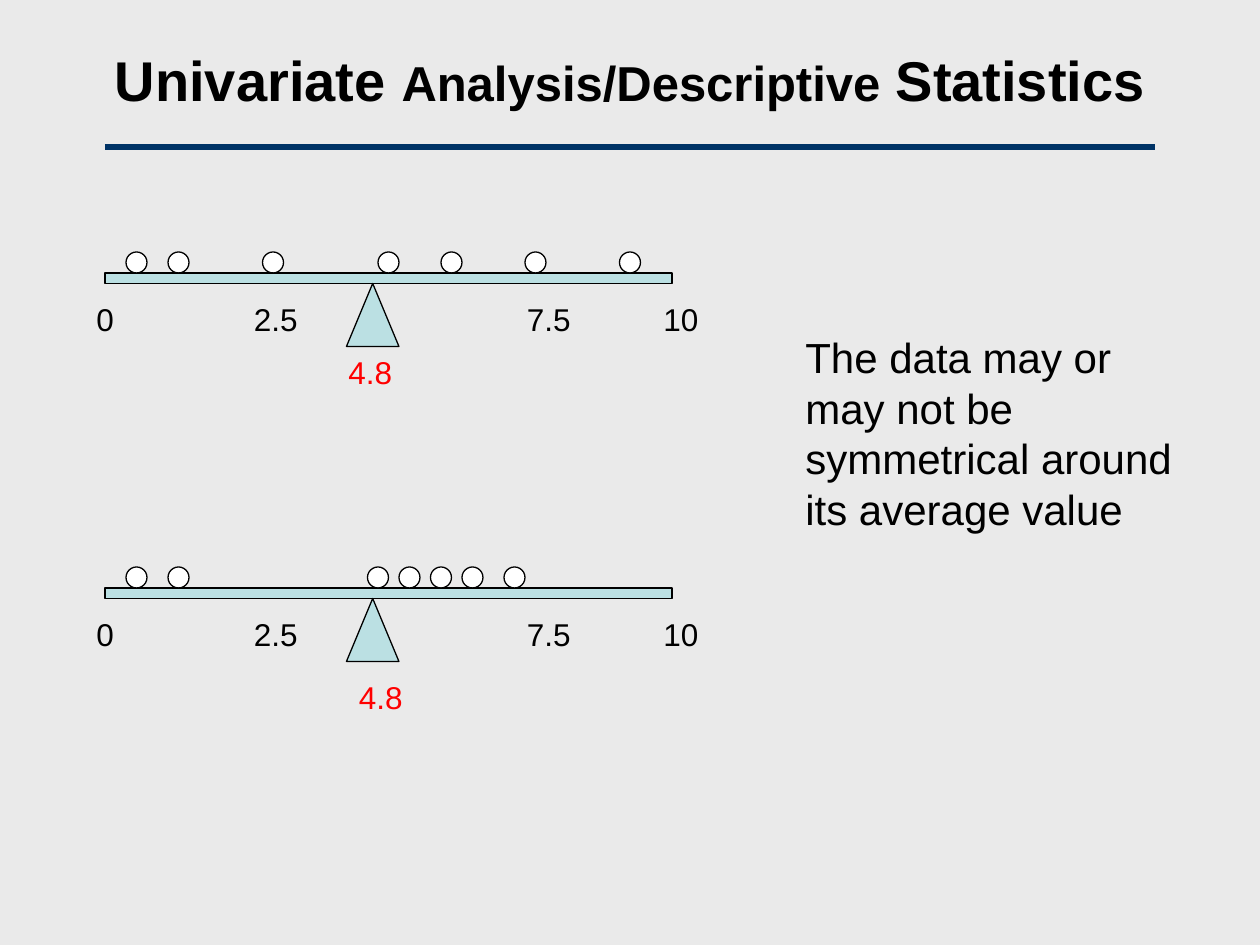
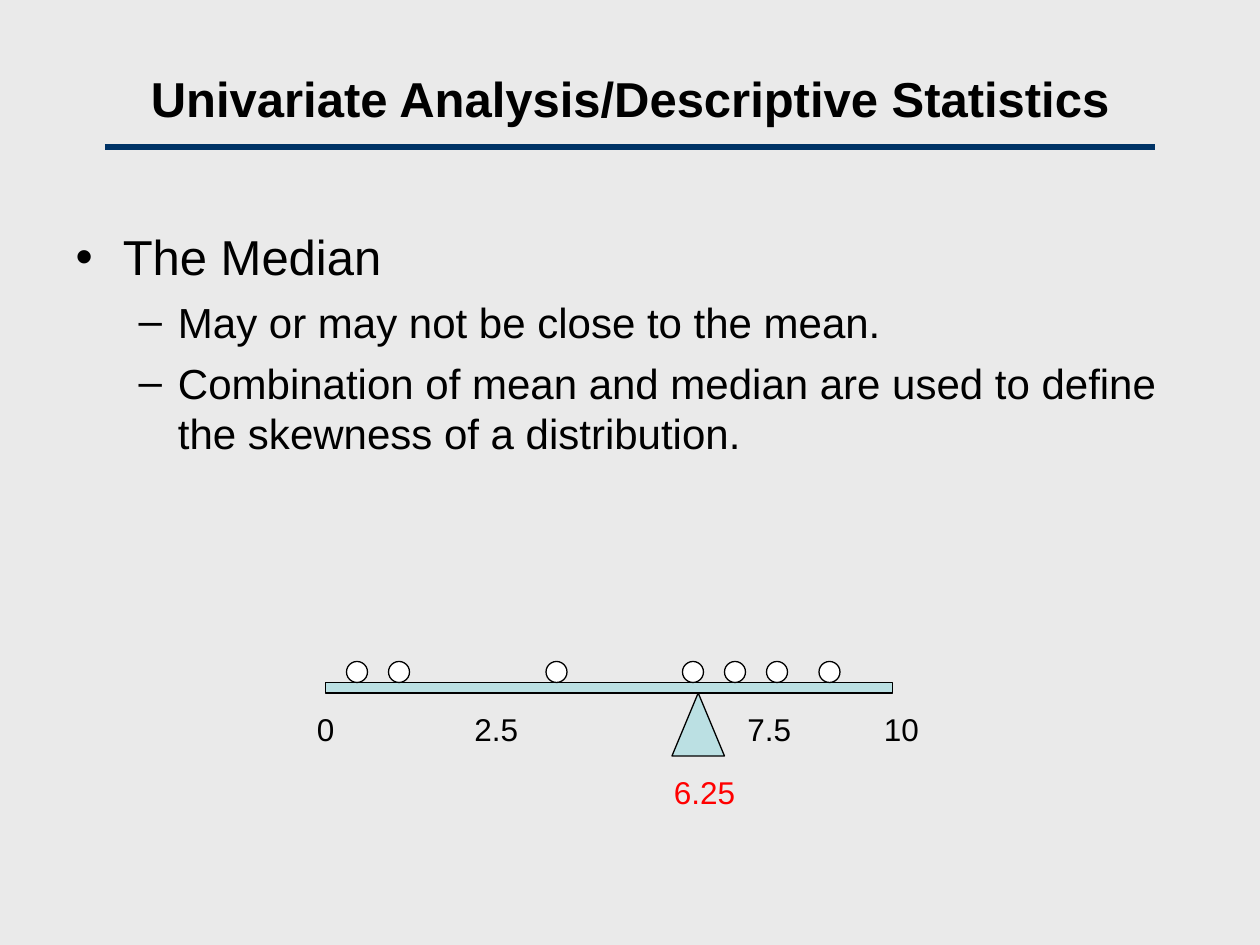
from lxml import etree
from pptx import Presentation
from pptx.dml.color import RGBColor
from pptx.enum.shapes import MSO_CONNECTOR, MSO_SHAPE
from pptx.enum.text import MSO_ANCHOR, MSO_AUTO_SIZE, PP_ALIGN
from pptx.oxml.ns import qn
from pptx.util import Pt

RECTANGLE, TRIANGLE, OVAL = MSO_SHAPE.RECTANGLE, MSO_SHAPE.ISOSCELES_TRIANGLE, MSO_SHAPE.OVAL
STRAIGHT = MSO_CONNECTOR.STRAIGHT
MIDDLE, CENTER, LEFT = MSO_ANCHOR.MIDDLE, PP_ALIGN.CENTER, PP_ALIGN.LEFT
NO_AUTOFIT = MSO_AUTO_SIZE.NONE

FONT = "Arial"
BACKGROUND, RULE, BEAM, BALL = "EAEAEA", "003366", "BBE0E3", "FFFFFF"
BLACK, RED = "000000", "FF0000"

# Content: boxes are (left, top, width, height); balance offsets start at the beam's left end
SLIDES = [
    {
        "title": [("Univariate ", 32), ("Analysis/Descriptive", 28), (" Statistics", 32)],
        "title_box": (36, 0, 648, 90),
        "body": [("plain", "The data may or may not be symmetrical around its average value")],
        "body_box": (426, 186, 258, 156),
        "balances": [
            {"beam": (60, 156), "balls": [12, 36, 90, 156, 192, 240, 294],
             "pivot": 138, "average": ("4.8", 132, 42)},
            {"beam": (60, 336), "balls": [12, 36, 150, 168, 186, 204, 228],
             "pivot": 138, "average": ("4.8", 138, 48)},
        ],
    },
    {
        "title": [("Univariate Analysis/Descriptive Statistics", 28)],
        "title_box": (36, 21.6, 648, 68.4),
        "body": [
            ("bullet", "The Median"),
            ("dash", "May or may not be close to the mean."),
            ("dash", "Combination of mean and median are used to define "
                     "the skewness of a distribution."),
        ],
        "body_box": (36, 126, 660, 210),
        "balances": [
            {"beam": (186, 390), "balls": [12, 36, 126, 204, 228, 252, 282],
             "pivot": 198, "average": ("6.25", 192, 48)},
        ],
    },
]
SCALE_LABELS = [("0", -12), ("2.5", 78), ("7.5", 234), ("10", 312)]

# Body styles: level, left margin, first-line indent, space before, size
BODY_STYLES = {
    "plain": (0, 27, 0, 6, 24),
    "bullet": (0, 27, -27, 7, 28),
    "dash": (1, 58.5, -22.5, 6, 24),
}

BEAM_WIDTH, BEAM_HEIGHT = 324, 6
BALL_SIZE = 12
PIVOT_WIDTH, PIVOT_HEIGHT = 30, 36
LABEL_DROP, LABEL_HEIGHT = 12, 28.8


def color(value):
    return RGBColor.from_string(value)


def points(box):
    return [Pt(length) for length in box]


def set_font(font, size, text_color=BLACK, bold=False):
    font.name, font.size, font.bold = FONT, Pt(size), bold
    font.color.rgb = color(text_color)


def place(shape, box):
    shape.left, shape.top, shape.width, shape.height = points(box)


def add_title(slide, runs, box):
    title = slide.shapes.title
    place(title, box)
    title.text_frame.auto_size = NO_AUTOFIT
    title.text_frame.vertical_anchor = MIDDLE
    paragraph = title.text_frame.paragraphs[0]
    paragraph.alignment = CENTER
    for text, size in runs:
        run = paragraph.add_run()
        run.text = text
        set_font(run.font, size, bold=True)


def add_rule(slide):
    rule = slide.shapes.add_connector(STRAIGHT, *points((60, 84, 660, 84)))
    rule.line.color.rgb = color(RULE)
    rule.line.width = Pt(3)
    etree.SubElement(rule._element.spPr, qn("a:effectLst"))


def add_body(slide, items, box):
    body = slide.placeholders[1]
    place(body, box)
    frame = body.text_frame
    frame.auto_size = NO_AUTOFIT
    for index, (style, text) in enumerate(items):
        level, margin, indent, space, size = BODY_STYLES[style]
        paragraph = frame.add_paragraph() if index else frame.paragraphs[0]
        paragraph.text = text
        paragraph.level = level
        paragraph.space_before = Pt(space)
        properties = paragraph._p.get_or_add_pPr()
        properties.set("marL", str(Pt(margin)))
        properties.set("indent", str(Pt(indent)))
        if style == "plain":
            etree.SubElement(properties, qn("a:buNone"))
        set_font(paragraph.font, size)


def add_part(group, kind, box, fill):
    part = group.shapes.add_shape(kind, *points(box))
    part.shadow.inherit = False
    part.fill.solid()
    part.fill.fore_color.rgb = color(fill)
    part.line.color.rgb = color(BLACK)
    part.line.width = Pt(0.75)


def add_label(group, text, left, top, text_color=BLACK):
    # Digits are 10 points wide, the decimal point 5, the two insets 14.4
    width = 14.4 + sum(5 if character == "." else 10 for character in text)
    label = group.shapes.add_textbox(*points((left, top, width, LABEL_HEIGHT)))
    label.text_frame.word_wrap = False
    paragraph = label.text_frame.paragraphs[0]
    paragraph.text = text
    paragraph.alignment = LEFT
    set_font(paragraph.font, 18, text_color)


def add_balance(slide, balance):
    left, top = balance["beam"]
    group = slide.shapes.add_group_shape()
    add_part(group, RECTANGLE, (left, top, BEAM_WIDTH, BEAM_HEIGHT), BEAM)
    add_part(group, TRIANGLE, (left + balance["pivot"], top + BEAM_HEIGHT,
                               PIVOT_WIDTH, PIVOT_HEIGHT), BEAM)
    for offset in balance["balls"]:
        add_part(group, OVAL, (left + offset, top - BALL_SIZE, BALL_SIZE, BALL_SIZE), BALL)
    for text, offset in SCALE_LABELS:
        add_label(group, text, left + offset, top + LABEL_DROP)
    text, offset, drop = balance["average"]
    add_label(group, text, left + offset, top + drop, RED)


def main():
    presentation = Presentation()
    presentation.slide_width, presentation.slide_height = Pt(720), Pt(540)
    background = presentation.slide_master.background.fill
    background.solid()
    background.fore_color.rgb = color(BACKGROUND)

    for content in SLIDES:
        slide = presentation.slides.add_slide(presentation.slide_layouts[1])
        add_title(slide, content["title"], content["title_box"])
        add_rule(slide)
        add_body(slide, content["body"], content["body_box"])
        for balance in content["balances"]:
            add_balance(slide, balance)

    presentation.save("out.pptx")


if __name__ == "__main__":
    main()
